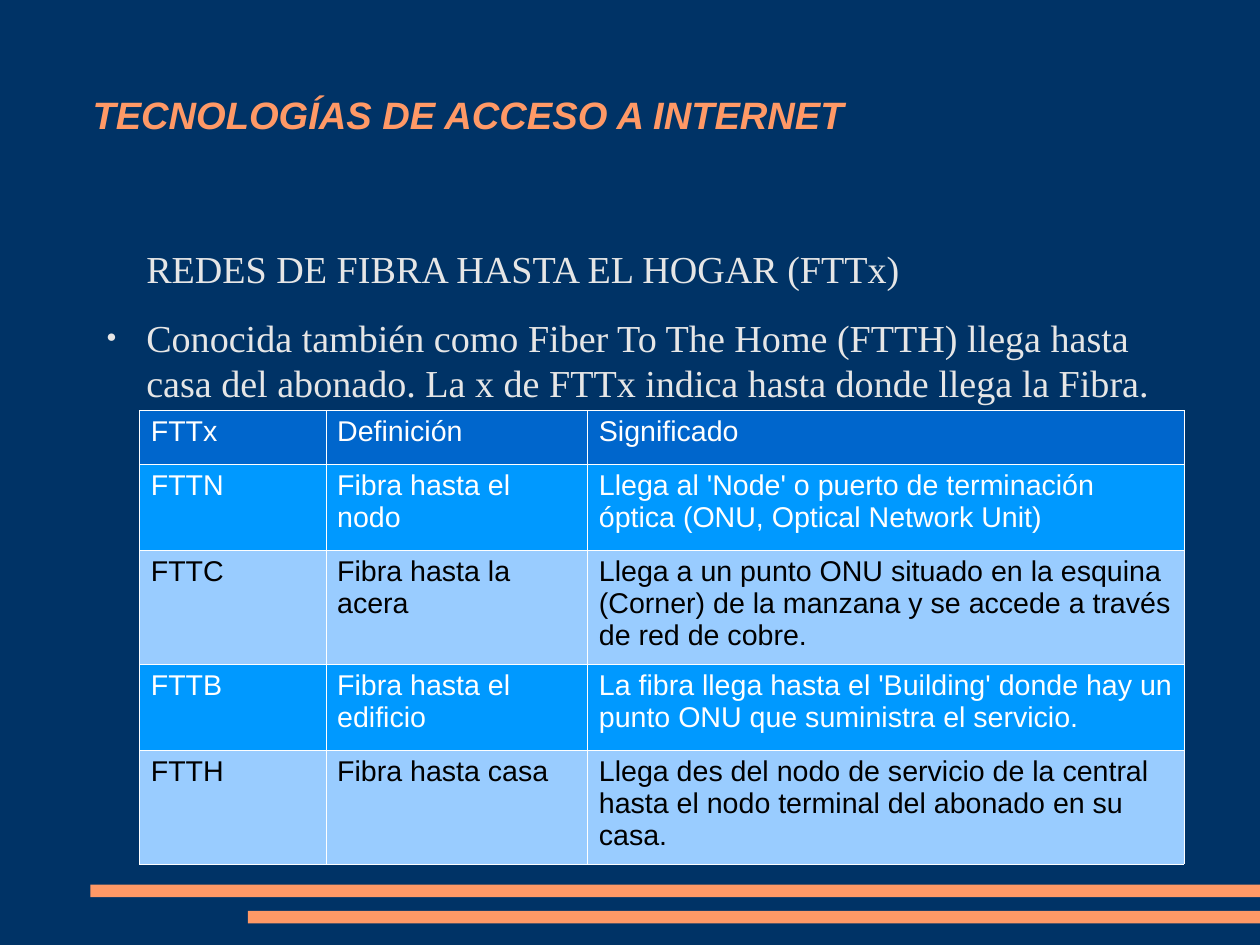
from lxml import etree
from pptx import Presentation
from pptx.dml.color import RGBColor
from pptx.enum.shapes import MSO_SHAPE
from pptx.enum.text import MSO_ANCHOR, MSO_AUTO_SIZE, PP_ALIGN
from pptx.oxml.ns import qn
from pptx.util import Inches, Pt

RECTANGLE = MSO_SHAPE.RECTANGLE
TOP, MIDDLE = MSO_ANCHOR.TOP, MSO_ANCHOR.MIDDLE
LEFT = PP_ALIGN.LEFT
NO_AUTOFIT = MSO_AUTO_SIZE.NONE

COLORS = {
    "background": "003366", "accent": "FF9966", "body": "E6E6E6",
    "header": "0066CC", "dark row": "0099FF", "light row": "99CCFF",
    "white": "FFFFFF", "black": "000000",
}
BODY_TEXTS = [
    "REDES DE FIBRA HASTA EL HOGAR (FTTx)",
    "Conocida también como Fiber To The Home (FTTH) llega hasta casa del "
    "abonado. La x de FTTx indica hasta donde llega la Fibra.",
]
TABLE_ROWS = [
    ("FTTx", "Definición", "Significado"),
    ("FTTN", "Fibra hasta el nodo",
     "Llega al 'Node' o puerto de terminación óptica (ONU, Optical Network Unit)"),
    ("FTTC", "Fibra hasta la acera",
     "Llega a un punto ONU situado en la esquina (Corner) de la manzana y se "
     "accede a través de red de cobre."),
    ("FTTB", "Fibra hasta el edificio",
     "La fibra llega hasta el 'Building' donde hay un punto ONU que suministra "
     "el servicio."),
    ("FTTH", "Fibra hasta casa",
     "Llega des del nodo de servicio de la central hasta el nodo terminal del "
     "abonado en su casa."),
]
COLUMN_WIDTHS = [1.63, 2.29, 5.22]
ROW_HEIGHTS = [0.47] + [0.75, 1.0] * 2


def color(name):
    return RGBColor.from_string(COLORS[name])


def write(para, text, size, font, ink, bold=False, italic=False, after=0):
    para.alignment = LEFT
    para.space_before = Pt(0)
    para.space_after = Pt(after)
    span = para.add_run()
    span.text = text
    span.font.size = Pt(size)
    span.font.name = font
    span.font.bold = bold
    span.font.italic = italic
    span.font.color.rgb = color(ink)


# The page measures 28 by 21 centimetres
deck = Presentation()
deck.slide_width, deck.slide_height = Inches(28 / 2.54), Inches(21 / 2.54)
page = deck.slides.add_slide(deck.slide_layouts[1])
page.background.fill.solid()
page.background.fill.fore_color.rgb = color("background")

# Footer bars run to the right edge
for left, top in [(0.79, 7.74), (2.17, 7.97)]:
    bar = page.shapes.add_shape(RECTANGLE, Inches(left), Inches(top),
                                deck.slide_width - Inches(left), Inches(0.11))
    bar.shadow.inherit = False
    bar.fill.solid()
    bar.fill.fore_color.rgb = color("accent")
    bar.line.fill.background()

# Title and body placeholders
title, body = page.shapes.title, page.placeholders[1]
for box, place, anchor in [(title, (0.81, 0.31, 9.41, 1.38), MIDDLE),
                           (body, (0.81, 2.15, 9.59, 5.4), TOP)]:
    box.left, box.top, box.width, box.height = [Inches(n) for n in place]
    frame = box.text_frame
    frame.margin_left = frame.margin_right = 0
    frame.margin_top = frame.margin_bottom = 0
    frame.word_wrap = True
    frame.auto_size = NO_AUTOFIT
    frame.vertical_anchor = anchor

write(title.text_frame.paragraphs[0], "TECNOLOGÍAS DE ACCESO A INTERNET",
      24, "Arial", "accent", bold=True, italic=True)

for index, text in enumerate(BODY_TEXTS):
    frame = body.text_frame
    para = frame.add_paragraph() if index else frame.paragraphs[0]
    write(para, text, 24, "Times New Roman", "body", after=14.2)
    props = para._p.get_or_add_pPr()
    props.set("marL", str(Inches(0.47)))
    props.set("indent", str(Inches(-0.35) if index else 0))
    if index:
        bullet_color = etree.SubElement(props, qn("a:buClr"))
        etree.SubElement(bullet_color, qn("a:srgbClr"), val=COLORS["body"])
        etree.SubElement(props, qn("a:buSzPct"), val="45000")
        etree.SubElement(props, qn("a:buChar"), char="●")
    else:
        etree.SubElement(props, qn("a:buNone"))

# Table of fibre variants
table = page.shapes.add_table(
    len(TABLE_ROWS), len(COLUMN_WIDTHS), Inches(1.22), Inches(3.59),
    Inches(sum(COLUMN_WIDTHS)), Inches(sum(ROW_HEIGHTS))).table
for column, width in zip(table.columns, COLUMN_WIDTHS):
    column.width = Inches(width)
for row, height in zip(table.rows, ROW_HEIGHTS):
    row.height = Inches(height)

for r, texts in enumerate(TABLE_ROWS):
    if r == 0:
        fill, ink = "header", "white"
    elif r % 2:
        fill, ink = "dark row", "white"
    else:
        fill, ink = "light row", "black"
    for c, text in enumerate(texts):
        cell = table.cell(r, c)
        write(cell.text_frame.paragraphs[0], text, 18, "Arial", ink)
        props = cell._tc.get_or_add_tcPr()
        for side in ("a:lnL", "a:lnR", "a:lnT", "a:lnB"):
            border = etree.SubElement(props, qn(side), w=str(Pt(0.06)))
            paint = etree.SubElement(border, qn("a:solidFill"))
            etree.SubElement(paint, qn("a:srgbClr"), val=COLORS["white"])
        cell.fill.solid()
        cell.fill.fore_color.rgb = color(fill)

deck.save("out.pptx")
